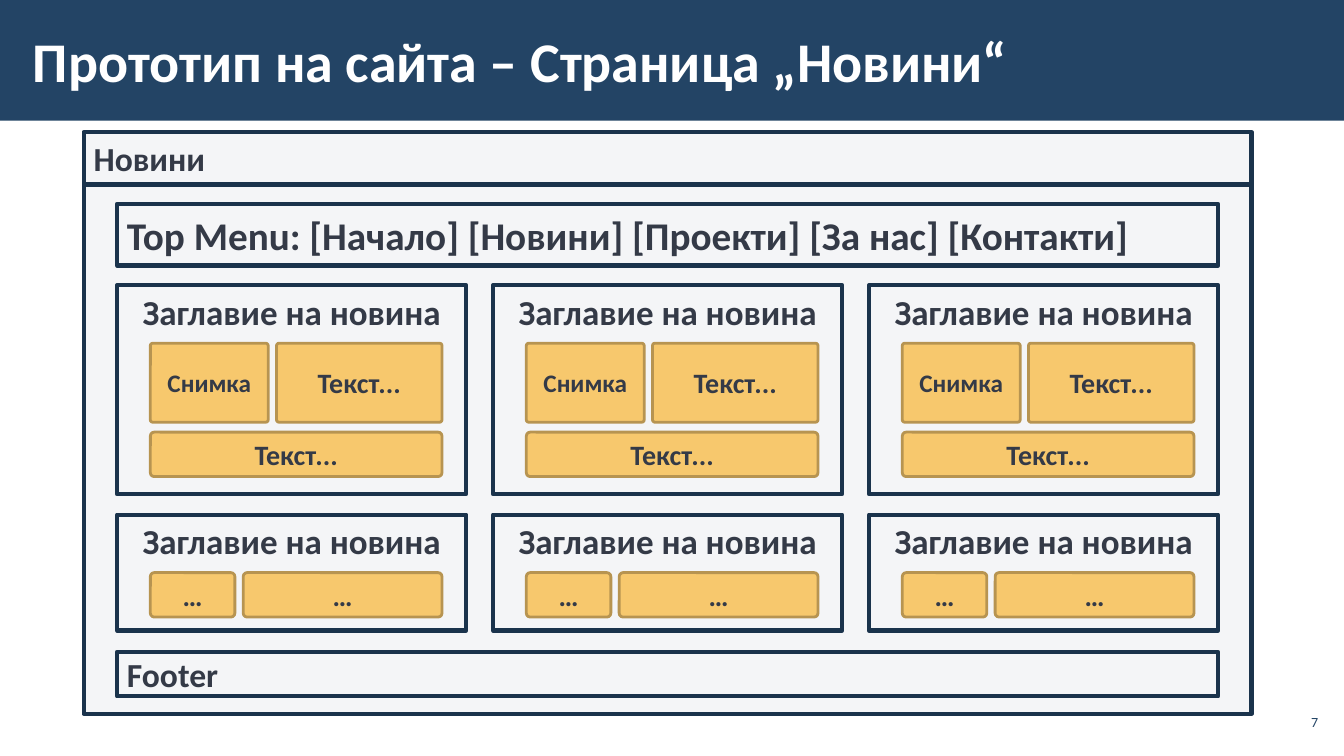
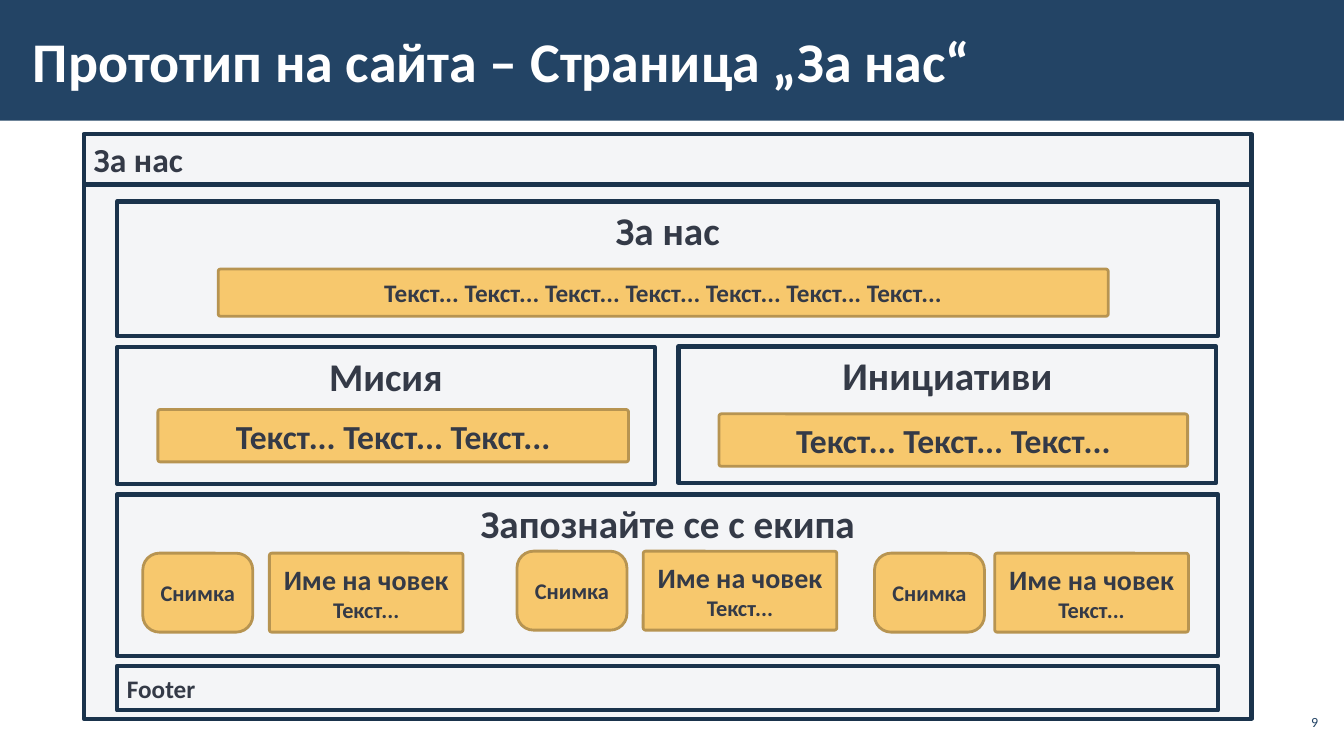
from typing import NamedTuple

from pptx import Presentation
from pptx.dml.color import RGBColor
from pptx.enum.shapes import MSO_SHAPE
from pptx.enum.text import MSO_ANCHOR, MSO_AUTO_SIZE, PP_ALIGN
from pptx.util import Cm, Pt

RECTANGLE, ROUNDED = MSO_SHAPE.RECTANGLE, MSO_SHAPE.ROUNDED_RECTANGLE
TOP, MIDDLE = MSO_ANCHOR.TOP, MSO_ANCHOR.MIDDLE
LEFT, CENTER, RIGHT = PP_ALIGN.LEFT, PP_ALIGN.CENTER, PP_ALIGN.RIGHT
NO_AUTOFIT = MSO_AUTO_SIZE.NONE

FONT = "Calibri"
COLORS = {
    "band": "234465",
    "title": "FFFFFF",
    "panel": "F4F5F7",
    "frame": "1A334C",
    "block": "F7C86D",
    "edge": "B79451",
    "text": "343A47",
}
WIDTH, HEIGHT = 33.87, 19.05
WINDOW_LEFT, WINDOW_WIDTH = 2.11, 29.43
CONTENT_TOP, MARGIN = 4.65, 0.84
BLOCK_GAP, ROW_GAP = 0.21, 0.25


class Box(NamedTuple):
    """A rectangle in centimetres."""
    left: float
    top: float
    width: float
    height: float

    def inside(self, left, top, width, height):
        return Box(self.left + left, self.top + top, width, height)

    def lengths(self):
        return [Cm(value) for value in self]


def color(name):
    return RGBColor.from_string(COLORS[name])


# Text and shapes

def format_font(font, size, color_name="text", bold=True):
    font.name, font.size, font.bold = FONT, Pt(size), bold
    font.color.rgb = color(color_name)


def write(frame, text, size, align=LEFT, anchor=MIDDLE, color_name="text",
          bold=True, detail=None, detail_size=16):
    """Fill a text frame; detail is a smaller second line."""
    frame.word_wrap = True
    frame.vertical_anchor = anchor
    paragraph = frame.paragraphs[0]
    paragraph.alignment = align
    run = paragraph.add_run()
    run.text = text
    format_font(run.font, size, color_name, bold)
    if detail:
        paragraph.add_line_break()
        run = paragraph.add_run()
        run.text = detail
        format_font(run.font, detail_size, color_name, bold)


def set_insets(frame, horizontal, vertical):
    frame.margin_left = frame.margin_right = Cm(horizontal)
    frame.margin_top = frame.margin_bottom = Cm(vertical)


def paint(shape, fill, line=None, line_width=0):
    shape.shadow.inherit = False
    shape.fill.solid()
    shape.fill.fore_color.rgb = color(fill)
    if line:
        shape.line.color.rgb = color(line)
        shape.line.width = Pt(line_width)
    else:
        shape.line.fill.background()


def add_panel(slide, box, text=None, size=24, **text_format):
    shape = slide.shapes.add_shape(RECTANGLE, *box.lengths())
    paint(shape, "panel", "frame", 3)
    if text:
        write(shape.text_frame, text, size, **text_format)


def add_block(slide, box, text, size, radius=0.06, **text_format):
    shape = slide.shapes.add_shape(ROUNDED, *box.lengths())
    shape.adjustments[0] = radius / min(box.width, box.height)
    paint(shape, "block", "edge", 2)
    write(shape.text_frame, text, size, align=CENTER, **text_format)


# Shared slide frame

def prepare_layout(layout):
    """Keep only the title placeholder and move it to its place."""
    title, *others = layout.placeholders
    for placeholder in others:
        layout.shapes.element.remove(placeholder.element)
    title.left, title.top, title.width, title.height = Box(
        0.53, 0.28, 26.39, 2.46).lengths()


def add_page(presentation, layout, title, number):
    slide = presentation.slides.add_slide(layout)

    # Band behind the title
    band = slide.shapes.add_shape(RECTANGLE, *Box(0, 0, WIDTH, 3.04).lengths())
    paint(band, "band")
    slide.shapes.title.element.addprevious(band.element)

    frame = slide.shapes.title.text_frame
    frame.auto_size = NO_AUTOFIT
    set_insets(frame, 0.3, 0.1)
    write(frame, title, 40, color_name="title")

    # Page number
    number_box = slide.shapes.add_textbox(
        *Box(32.13, 17.77, 1.19, 0.86).lengths())
    set_insets(number_box.text_frame, 0.1, 0.1)
    write(number_box.text_frame, number, 10, align=RIGHT,
          color_name="band", bold=False)
    return slide


def add_window(slide, caption, caption_top, caption_height, height):
    """Draw the browser window and return the column for its content."""
    add_panel(slide, Box(WINDOW_LEFT, caption_top, WINDOW_WIDTH,
                         caption_height), caption)
    add_panel(slide, Box(WINDOW_LEFT, CONTENT_TOP, WINDOW_WIDTH, height))
    return Box(WINDOW_LEFT + MARGIN, CONTENT_TOP,
               WINDOW_WIDTH - 2 * MARGIN, height)


def add_footer(slide, content, top, size):
    add_panel(slide, content.inside(0, top, content.width, 1.12),
              "Footer", size)


# News page

def add_news_card(slide, card, row_height, first, second, extra=None):
    """Each of first and second is text, size; first also has its width."""
    add_panel(slide, card, "Заглавие на новина", 25,
              align=CENTER, anchor=TOP)
    inner = card.inside(0.84, 1.46, 7.35, card.height - 1.46)
    radius = 0.06 if extra else 0.1
    text, size, width = first
    add_block(slide, inner.inside(0, 0, width, row_height),
              text, size, radius)
    left = width + BLOCK_GAP
    add_block(slide, inner.inside(left, 0, inner.width - left, row_height),
              *second, radius)
    if extra:
        add_block(slide, inner.inside(0, row_height + ROW_GAP,
                                      inner.width, 1.12), extra, 20, 0.1)


def build_news(slide):
    content = add_window(slide, "Новини", 3.33, 1.33, 13.34)
    add_panel(slide, content.inside(0, 0.49, content.width, 1.55),
              "Top Menu: [Начало] [Новини] [Проекти] [За нас] [Контакти]", 28)
    card_width, columns = 8.8, 3
    pitch = (content.width - card_width) / (columns - 1)
    for column in range(columns):
        left = column * pitch
        add_news_card(slide, content.inside(left, 2.54, card_width, 5.26),
                      1.99, ("Снимка", 18, 2.97), ("Текст...", 20),
                      extra="Текст...")
        add_news_card(slide, content.inside(left, 8.32, card_width, 2.92),
                      1.12, ("…", 20, 2.13), ("…", 20))
    add_footer(slide, content, 11.78, 24)


# About page

def add_section(slide, section, heading):
    add_panel(slide, section, heading, 28, align=CENTER, anchor=TOP)


def add_person(slide, section, left, top, name_left):
    add_block(slide, section.inside(left, top, 2.77, 1.99),
              "Снимка", 16, radius=0.42)
    add_block(slide, section.inside(left + name_left, top, 4.88, 1.99),
              "Име на човек", 20, detail="Текст...")


def build_about(slide):
    content = add_window(slide, "За нас", 3.38, 1.28, 13.46)

    # Sections with one text bar: section box, heading, bar box, bar text
    words = "Текст..."
    half = 13.55
    sections = [
        ((0, 0.43, content.width, 3.38), "За нас",
         (2.55, 1.7, 22.43, 1.19), 7, 18),
        ((0, 4.1, half, 3.44), "Мисия",
         (1.03, 1.57, 11.86, 1.32), 3, 24),
        ((14.15, 4.08, half, 3.44), "Инициативи",
         (1.02, 1.7, 11.81, 1.32), 3, 24),
    ]
    for place, heading, bar, count, size in sections:
        section = content.inside(*place)
        add_section(slide, section, heading)
        add_block(slide, section.inside(*bar),
                  " ".join([words] * count), size)

    # Team
    team = content.inside(0, 7.81, content.width, 4.07)
    add_section(slide, team, "Запознайте се с екипа")
    for left, top, name_left in [(0.65, 1.48, 3.19), (10.08, 1.43, 3.18),
                                 (19.09, 1.48, 3.03)]:
        add_person(slide, team, left, top, name_left)
    add_footer(slide, content, 12.13, 18)


def main():
    presentation = Presentation()
    presentation.slide_width, presentation.slide_height = Cm(WIDTH), Cm(HEIGHT)
    layout = presentation.slide_layouts[5]
    prepare_layout(layout)
    pages = [("Новини", "7", build_news), ("За нас", "9", build_about)]
    for name, number, build in pages:
        title = f"Прототип на сайта – Страница „{name}“"
        build(add_page(presentation, layout, title, number))
    presentation.save("out.pptx")


if __name__ == "__main__":
    main()
